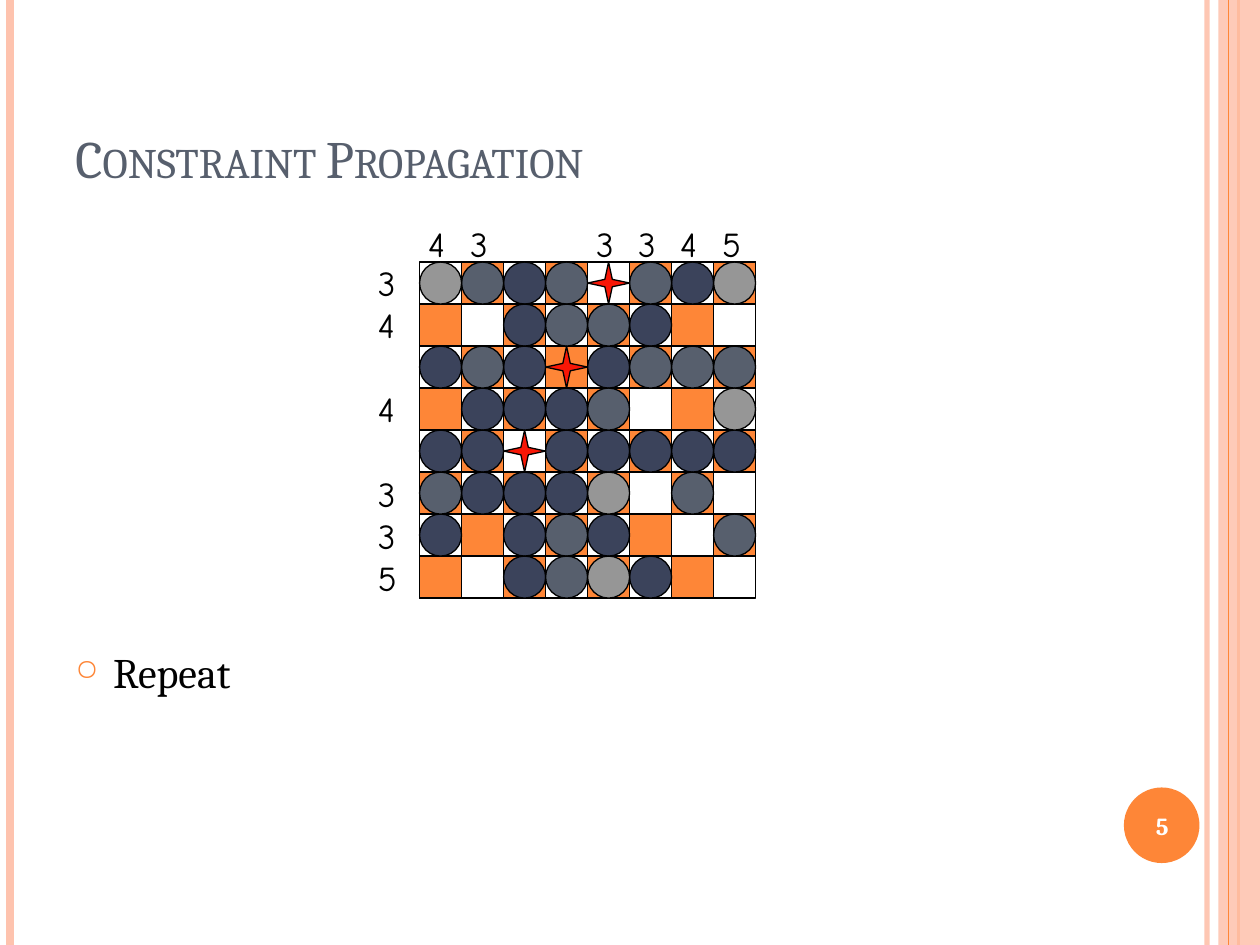
from dataclasses import dataclass

from lxml.etree import SubElement
from pptx import Presentation
from pptx.dml.color import RGBColor
from pptx.enum.shapes import MSO_CONNECTOR as Connector, MSO_SHAPE as Preset
from pptx.enum.text import MSO_ANCHOR as Anchor, PP_ALIGN as Align
from pptx.oxml.ns import qn
from pptx.util import Inches, Pt

COLORS = {
    "peach": "FEC3AE",
    "orange": "FE8637",
    "slate": "575F6D",
    "navy": "3B435B",
    "gray": "969696",
    "red": "F81706",
    "black": "000000",
    "white": "FFFFFF",
}
SERIF = "Cambria"
HAND = "Comic Neue"
CELL = 1 / 3
BOARD_LEFT, BOARD_TOP = 3.33, 2.08
BOARD = [
    "gsns*sng",
    "..nssn..",
    "nsn*nsss",
    ".nnns..g",
    "nn*nnnnn",
    "snnng.s.",
    "n.nsn..s",
    "..nsgn..",
]
DISKS = {"n": "navy", "s": "slate", "g": "gray"}
ROW_CLUES = ["3", "4", "", "4", "", "3", "3", "5"]
COLUMN_CLUES = ["4", "3", "", "", "3", "3", "4", "5"]


@dataclass
class Stripe:
    x: float
    color: str
    width: float
    alpha: int = 100


BACK_STRIPES = [
    Stripe(9.58, "peach", 3, 93),
    Stripe(0.08, "peach", 4.5),
    Stripe(9.83, "orange", 1.5),
]
FRONT_STRIPE = Stripe(9.75, "orange", 0.75)


def rgb(name: str) -> RGBColor:
    return RGBColor.from_string(COLORS[name])


def set_alpha(shape, percent: int) -> None:
    if percent < 100:
        color = next(shape._element.iter(qn("a:srgbClr")))
        SubElement(color, qn("a:alpha"), val=str(percent * 1000))


def add_stripe(shapes, stripe: Stripe) -> None:
    line = shapes.add_connector(
        Connector.STRAIGHT, Inches(stripe.x), 0, Inches(stripe.x), Inches(7.5)
    )
    line.line.color.rgb = rgb(stripe.color)
    line.line.width = Pt(stripe.width)
    set_alpha(line, stripe.alpha)
    SubElement(line._element.spPr, qn("a:effectLst"))


def add_figure(shapes, preset, left: float, top: float, width: float, height: float,
               *, fill: str = "", outline: str = "", alpha: int = 100):
    figure = shapes.add_shape(
        preset, Inches(left), Inches(top), Inches(width), Inches(height)
    )
    figure.shadow.inherit = False
    if fill:
        figure.fill.solid()
        figure.fill.fore_color.rgb = rgb(fill)
        set_alpha(figure, alpha)
    else:
        figure.fill.background()
    if outline:
        figure.line.color.rgb = rgb(outline)
        figure.line.width = Pt(0.75)
    else:
        figure.line.fill.background()
    return figure


def add_piece(shapes, preset, row: int, column: int, fill: str):
    return add_figure(shapes, preset, BOARD_LEFT + column * CELL, BOARD_TOP + row * CELL,
                      CELL, CELL, fill=fill, outline="black")


def add_box(shapes, left: float, top: float, width: float, height: float,
            *, anchor=Anchor.TOP):
    box = shapes.add_textbox(Inches(left), Inches(top), Inches(width), Inches(height))
    box.text_frame.word_wrap = True
    box.text_frame.vertical_anchor = anchor
    return box.text_frame


def write(para, text: str, *, size: float, font: str, color: str = "black",
          bold: bool = False, small_caps: bool = False, align=Align.LEFT) -> None:
    para.alignment = align
    span = para.add_run()
    span.text = text
    span.font.size = Pt(size)
    span.font.name = font
    span.font.bold = bold
    span.font.color.rgb = rgb(color)
    if small_caps:
        span._r.get_or_add_rPr().set("cap", "small")


def add_bullet(para) -> None:
    properties = para._p.get_or_add_pPr()
    properties.set("marL", str(Inches(0.3)))
    properties.set("indent", str(-Inches(0.3)))
    color = SubElement(properties, qn("a:buClr"))
    SubElement(color, qn("a:srgbClr"), val=COLORS["orange"])
    SubElement(properties, qn("a:buSzPct"), val="70000")
    SubElement(properties, qn("a:buChar"), char="○")


def add_frame(shapes) -> None:
    for stripe in BACK_STRIPES:
        add_stripe(shapes, stripe)
    add_figure(shapes, Preset.RECTANGLE, 9.67, 0, 0.33, 7.5, fill="peach", alpha=87)
    add_stripe(shapes, FRONT_STRIPE)
    add_figure(shapes, Preset.OVAL, 8.92, 6.25, 0.6, 0.6, fill="orange")


def add_texts(shapes) -> None:
    title = add_box(shapes, 0.5, 0.3, 8.17, 1.25, anchor=Anchor.BOTTOM)
    write(title.paragraphs[0], "Constraint Propagation", size=30, font=SERIF,
          color="slate", small_caps=True)
    body = add_box(shapes, 0.5, 5.08, 8.17, 2)
    add_bullet(body.paragraphs[0])
    write(body.paragraphs[0], "Repeat", size=24, font=SERIF)
    number = add_box(shapes, 8.89, 6.27, 0.67, 0.57, anchor=Anchor.MIDDLE)
    write(number.paragraphs[0], "5", size=14, font=SERIF, color="white",
          bold=True, align=Align.CENTER)


def add_board(shapes) -> None:
    squares = shapes.add_group_shape().shapes
    side = len(BOARD) * CELL
    add_figure(squares, Preset.RECTANGLE, BOARD_LEFT, BOARD_TOP, side, side,
               outline="black")
    cells = [(row, column, mark) for row, marks in enumerate(BOARD)
             for column, mark in enumerate(marks)]
    for row, column, _ in cells:
        if (row + column) % 2:
            add_piece(squares, Preset.RECTANGLE, row, column, "orange")
    for kind, color in DISKS.items():
        disks = shapes.add_group_shape().shapes
        for row, column, mark in cells:
            if mark == kind:
                add_piece(disks, Preset.OVAL, row, column, color)
    for row, column, mark in cells:
        if mark == "*":
            star = add_piece(shapes, Preset.STAR_4_POINT, row, column, "red")
            star.adjustments[0] = 0.125


def add_row_clues(shapes) -> None:
    frame = add_box(shapes, 2.9, 2.03, 0.37, 2.77)
    para = frame.paragraphs[0]
    previous = 0
    for row, clue in enumerate(ROW_CLUES):
        if not clue:
            continue
        if row:
            para = frame.add_paragraph()
            para.space_before = Pt(24 * (row - previous - 1))
        para.line_spacing = Pt(24)
        write(para, clue, size=20, font=HAND)
        previous = row


def add_column_clues(shapes) -> None:
    para = add_box(shapes, 3.3, 1.65, 2.75, 0.5, anchor=Anchor.BOTTOM).paragraphs[0]
    para.line_spacing = Pt(24)
    tabs = SubElement(para._p.get_or_add_pPr(), qn("a:tabLst"))
    for column, clue in enumerate(COLUMN_CLUES):
        if column and clue:
            SubElement(tabs, qn("a:tab"), pos=str(Inches(column * CELL)), algn="l")
    write(para, "\t".join(filter(None, COLUMN_CLUES)), size=20, font=HAND)


def main() -> None:
    deck = Presentation()
    deck.slide_width, deck.slide_height = Inches(10), Inches(7.5)
    page = deck.slides.add_slide(deck.slide_layouts[6])
    add_frame(page.shapes)
    add_texts(page.shapes)
    add_board(page.shapes)
    add_row_clues(page.shapes)
    add_column_clues(page.shapes)
    deck.save("out.pptx")


if __name__ == "__main__":
    main()
